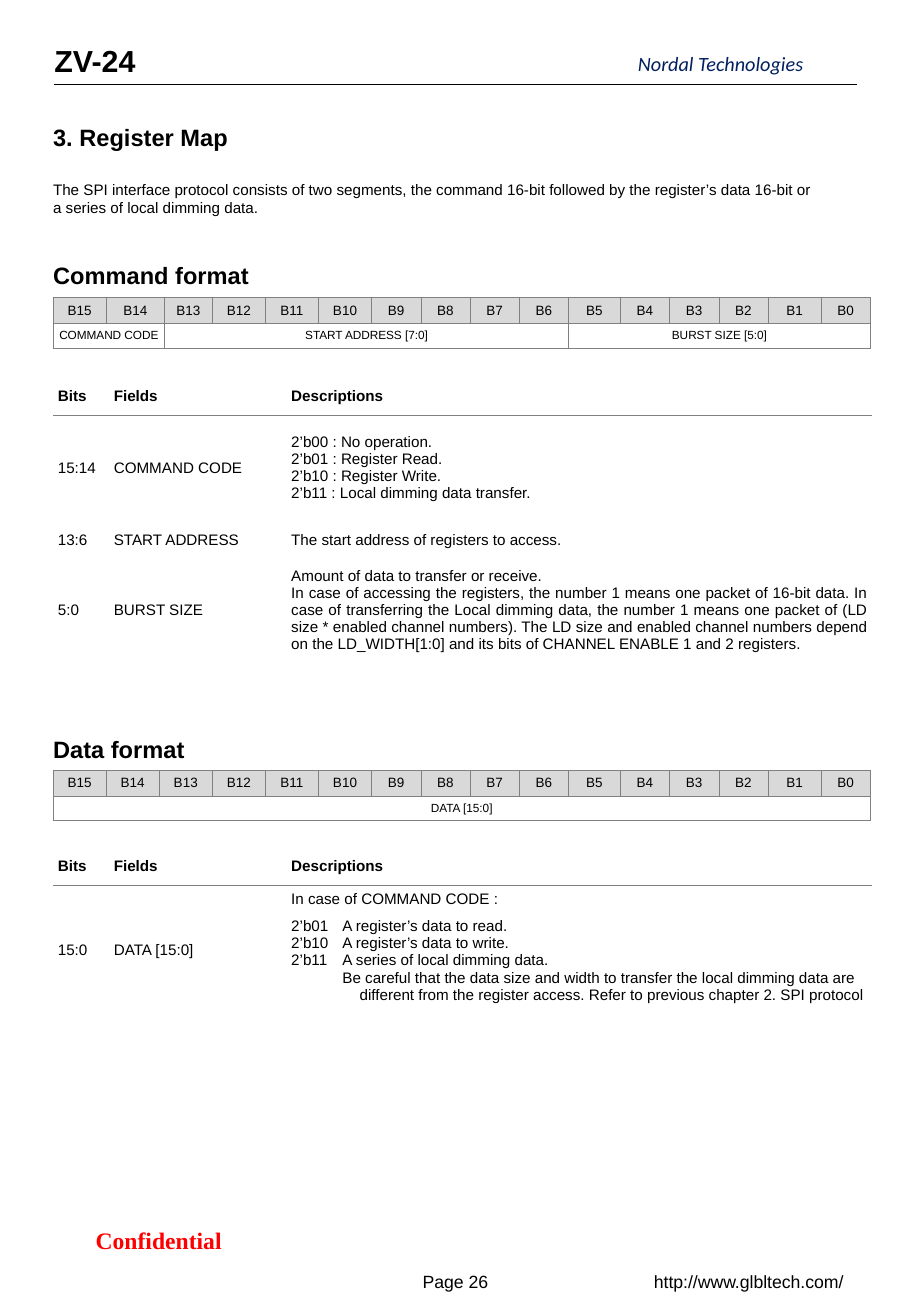
import pptx
import pptx.util
import pptx.dml.color
import pptx.enum.shapes
import pptx.enum.text
import pptx.oxml.ns
from lxml import etree

Cm, Pt = pptx.util.Cm, pptx.util.Pt
ALIGN = pptx.enum.text.PP_ALIGN
ANCHOR = pptx.enum.text.MSO_ANCHOR
qn = pptx.oxml.ns.qn

COLORS = {"black": "000000", "navy": "002060", "red": "FF0000",
          "grid": "808080", "header": "D9D9D9"}
LEFT = 1.11
SIDES = "LRTB"


class Page:
    def __init__(self, prs):
        self.s = prs.slides.add_slide(prs.slide_layouts[6])
        self.font = "Arial"

    def color(self, name):
        return pptx.dml.color.RGBColor.from_string(COLORS[name])

    def style(self, p, size, bold=False, color="black", align=ALIGN.LEFT,
              font=None, italic=False):
        p.alignment = align
        f = p.font
        f.name, f.size, f.bold, f.italic = font or self.font, Pt(size), bold, italic
        f.color.rgb = self.color(color)

    def text(self, x, y, w, h, text, size, insets=(0.25, 0.13, 0.25, 0.13),
             anchor=ANCHOR.TOP, wrap=False, **look):
        tf = self.s.shapes.add_textbox(Cm(x), Cm(y), Cm(w), Cm(h)).text_frame
        tf.word_wrap, tf.vertical_anchor = wrap, anchor
        (tf.margin_left, tf.margin_top,
         tf.margin_right, tf.margin_bottom) = [Cm(i) for i in insets]
        tf.text = text
        for p in tf.paragraphs:
            self.style(p, size, **look)
        return tf

    def heading(self, y, w, h, text, size=14, x=LEFT):
        return self.text(x, y, w, h, text, size, (0, 0.13, 0, 0.13), bold=True)

    def footer(self, x, y, w, text, size=10.5, **look):
        self.text(x, y, w, 0.86, text, size, anchor=ANCHOR.MIDDLE, wrap=True,
                  align=ALIGN.CENTER, **look)

    def rule(self, x1, x2, y):
        line = self.s.shapes.add_connector(
            pptx.enum.shapes.MSO_CONNECTOR.STRAIGHT, Cm(x1), Cm(y), Cm(x2), Cm(y))
        line.line.color.rgb = self.color("black")
        line.line.width = Pt(0.5)
        etree.SubElement(line._element.spPr, qn("a:effectLst"))

    def table(self, y, widths, heights):
        t = self.s.shapes.add_table(len(heights), len(widths), Cm(LEFT), Cm(y),
                                    Cm(sum(widths)), Cm(sum(heights))).table
        t.first_row = t.horz_banding = False
        for col, w in zip(t.columns, widths):
            col.width = Cm(w)
        for row, h in zip(t.rows, heights):
            row.height = Cm(h)
        return t

    def cell(self, cell, text, size, sides="", width=0.5, fill=None,
             anchor=ANCHOR.MIDDLE, **look):
        tcPr = cell._tc.get_or_add_tcPr()
        for side in SIDES:
            ln = etree.SubElement(tcPr, qn("a:ln" + side), w=str(int(Pt(width))))
            if side in sides:
                solid = etree.SubElement(ln, qn("a:solidFill"))
                etree.SubElement(solid, qn("a:srgbClr"), val=COLORS["grid"])
            else:
                etree.SubElement(ln, qn("a:noFill"))
        if fill:
            cell.fill.solid()
            cell.fill.fore_color.rgb = self.color(fill)
        else:
            cell.fill.background()
        cell.margin_left = cell.margin_right = Cm(0.1)
        cell.margin_top = cell.margin_bottom = Cm(0.1)
        cell.vertical_anchor = anchor
        cell.text_frame.text = text
        for p in cell.text_frame.paragraphs:
            self.style(p, size, **look)

    def bit_table(self, y, widths, fields):
        """fields: (name, number of bits), from B15 down."""
        t = self.table(y, widths, [0.53, 0.51])
        look = dict(sides=SIDES, width=0.25, align=ALIGN.CENTER)
        names = {}
        start = 0
        for name, bits in fields:
            names[start] = name
            t.cell(1, start).merge(t.cell(1, start + bits - 1))
            start += bits
        for c in range(16):
            self.cell(t.cell(0, c), f"B{15 - c}", 8, fill="header", **look)
            self.cell(t.cell(1, c), names.get(c, ""), 7, **look)

    def detail_table(self, y, widths, heights, rows):
        t = self.table(y, widths, heights)
        for r, row in enumerate(rows):
            for c, text in enumerate(row):
                self.cell(t.cell(r, c), text, 9, bold=r == 0,
                          sides={0: "B", 1: "T"}.get(r, ""))
        return t


def main():
    prs = pptx.Presentation()
    prs.slide_width, prs.slide_height = Cm(19.05), Cm(27.51)
    page = Page(prs)

    # Page header and footer
    page.heading(0.76, 3, 1.02, "ZV-24", 18, x=1.14)
    page.text(13.34, 1.07, 4.06, 0.51, "Nordal Technologies", 12, (0, 0, 0, 0),
              color="navy", font="Calibri", italic=True)
    page.rule(1.12, 17.93, 1.77)
    page.footer(8.33, 26.35, 2.39, "Page 26")
    page.footer(13.27, 26.35, 4.78, "http://www.glbltech.com/")
    page.footer(0.87, 25.5, 4.9, "Confidential", 14, bold=True, color="red",
                font="Times New Roman")

    # Introduction
    tf = page.heading(2.44, 16.23, 2.24, "\n".join([
        "3. Register Map",
        "The SPI interface protocol consists of two segments, the command 16-bit "
        "followed by the register’s data 16-bit or",
        "a series of local dimming data."]))
    for p in tf.paragraphs[1:]:
        page.style(p, 9)
    tf.paragraphs[1].space_before = Pt(17)

    # Command format
    wide, narrow, b5 = 1.11, 1.03, 1.08
    low_bits = [wide] * 3 + [narrow] * 4 + [b5] + [narrow] * 3 + [wide, narrow]
    page.heading(5.33, 4.8, 0.86, "Command format")
    page.bit_table(6.22, [wide, 1.22, 1.0] + low_bits,
                   [("COMMAND CODE", 2), ("START ADDRESS [7:0]", 8),
                    ("BURST SIZE [5:0]", 6)])
    titles = ["Bits", "Fields", "Descriptions"]
    t = page.detail_table(7.87, [1.17, 3.71, 12.24], [0.81, 2.21, 0.81, 2.05], [
        titles,
        ["15:14", "COMMAND CODE",
         "2’b00 : No operation.\n2’b01 : Register Read.\n"
         "2’b10 : Register Write.\n2’b11 : Local dimming data transfer."],
        ["13:6", "START ADDRESS", "The start address of registers to access."],
        ["5:0", "BURST SIZE",
         "Amount of data to transfer or receive.\n"
         "In case of accessing the registers, the number 1 means one packet of "
         "16-bit data. In case of transferring the Local dimming data, the number "
         "1 means one packet of (LD size * enabled channel numbers). The LD size "
         "and enabled channel numbers depend on the LD_WIDTH[1:0] and its bits of "
         "CHANNEL ENABLE 1 and 2 registers."]])
    for p in t.cell(3, 2).text_frame.paragraphs:
        p.alignment = ALIGN.JUSTIFY

    # Data format
    page.heading(15.24, 3.5, 0.86, "Data format")
    page.bit_table(16.1, [wide] * 3 + low_bits, [("DATA [15:0]", 16)])
    t = page.detail_table(17.7, [1.17, 3.71, 1.07, 11.17], [0.81, 0.58, 2.05], [
        titles + [""],
        ["15:0", "DATA [15:0]", "In case of COMMAND CODE :", ""],
        ["", "", "2’b01\n2’b10\n2’b11",
         "A register’s data to read.\nA register’s data to write.\n"
         "A series of local dimming data.\n"
         "Be careful that the data size and width to transfer the local dimming "
         "data are different from the register access. Refer to previous chapter "
         "2. SPI protocol"]])
    for first, last in [((0, 2), (0, 3)), ((1, 2), (1, 3)),
                        ((1, 0), (2, 0)), ((1, 1), (2, 1))]:
        t.cell(*first).merge(t.cell(*last))
    for c in (2, 3):
        t.cell(2, c).vertical_anchor = ANCHOR.TOP
    # Hanging indent of the closing remark
    pPr = t.cell(2, 3).text_frame.paragraphs[-1]._p.get_or_add_pPr()
    pPr.set("marL", str(int(Cm(0.36))))
    pPr.set("indent", str(-int(Cm(0.36))))

    prs.save("out.pptx")


if __name__ == "__main__":
    main()
